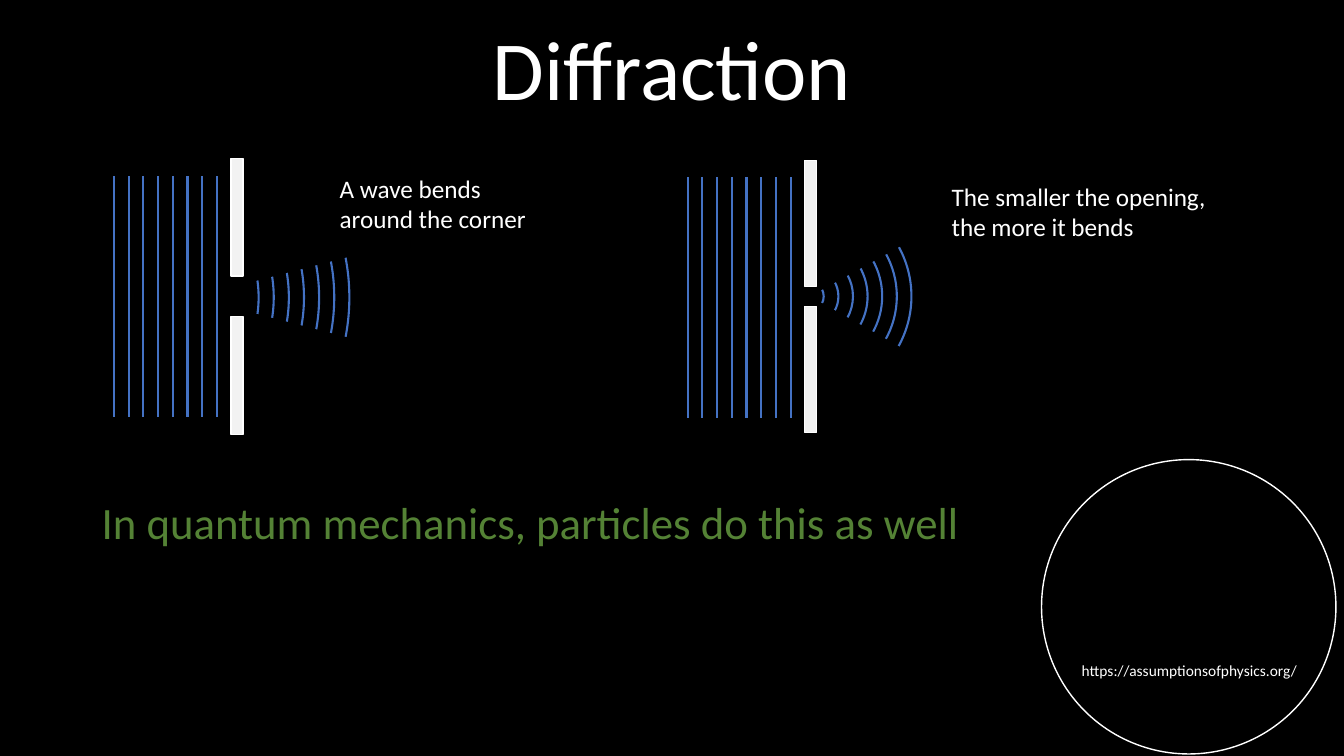
from lxml.etree import SubElement
from pptx import Presentation
from pptx.dml.color import RGBColor
from pptx.enum.shapes import MSO_CONNECTOR as CONN, MSO_SHAPE as SHAPE
from pptx.enum.text import MSO_AUTO_SIZE as AUTO, PP_ALIGN as ALIGN
from pptx.oxml.ns import qn
from pptx.util import Emu, Inches, Pt

W, H = 13.33, 7.5
FONT = "Calibri"
COLORS = {"black": "000000", "white": "FFFFFF", "wall": "F2F2F2",
          "wave": "4472C4", "green": "548235"}

# text, (left, top, width, height), size, color, alignment, wrap
TITLE = ("Diffraction", (0, 0.11, W, 1.11), 60, "white", ALIGN.CENTER, True)
TEXTS = [
    ("A wave bends around the corner", (3.27, 1.67, 2.22, 0.71), 18, "white", ALIGN.LEFT, True),
    ("The smaller the opening, the more it bends", (9.34, 1.75, 2.74, 0.71), 18, "white",
     ALIGN.LEFT, True),
    ("In quantum mechanics, particles do this as well", (0.91, 4.86, 8.8, 0.64), 32, "green",
     ALIGN.LEFT, False),
]
ADDRESS = ("https://assumptionsofphysics.org/", (10.63, 6.51, 2.35, 0.29), 11, "white",
           ALIGN.LEFT, False)
BADGE = (10.33, 4.56, 2.92, 2.92)

# mask: left, top, right, bottom of the cover; wedge: apex x, top and bottom of its open side
SLITS = [
    {"center": (1.39, 2.95), "smallest": 2.35, "step": 0.3, "mask": (-0.76, 0.7, 3.62, 5.13),
     "wedge": (1.88, 2.5, 3.4), "wall_x": 2.29, "wall_tops": (1.57, 3.14), "wall_h": 1.17,
     "front_x": 1.13, "front_y": 1.75},
    {"center": (8.02, 2.94), "smallest": 0.3, "step": 0.29, "mask": (6.83, 1.7, 9.14, 4.12),
     "wedge": (8.02, 2.32, 3.57), "wall_x": 7.98, "wall_tops": (1.59, 3.04), "wall_h": 1.25,
     "front_x": 6.82, "front_y": 1.76},
]
RINGS, FRONTS = 7, 8
WALL_W, FRONT_GAP, FRONT_H = 0.12, 0.146, 2.39


def rgb(name):
    return RGBColor.from_string(COLORS[name])


def style(sp, fill, line, width=1):
    sp.shadow.inherit = False
    if fill:
        sp.fill.solid()
        sp.fill.fore_color.rgb = rgb(fill)
    else:
        sp.fill.background()
    sp.line.color.rgb = rgb(line)
    sp.line.width = Pt(width)


def add_preset(shapes, kind, box, fill, line, width=1):
    style(shapes.add_shape(kind, *map(Inches, box)), fill, line, width)


def add_text(shapes, text, box, size, color, align, wrap):
    tf = shapes.add_textbox(*map(Inches, box)).text_frame
    tf.word_wrap = wrap
    tf.auto_size = AUTO.SHAPE_TO_FIT_TEXT
    tf.text = text
    p = tf.paragraphs[0]
    p.alignment = align
    font = p.runs[0].font
    font.name, font.size, font.color.rgb = FONT, Pt(size), rgb(color)


def add_front(shapes, x, y):
    ends = map(Inches, (x, y, x, y + FRONT_H))
    c = shapes.add_connector(CONN.STRAIGHT, *ends)
    c.line.color.rgb = rgb("wave")
    c.line.width = Pt(1.5)
    SubElement(c._element.spPr, qn("a:effectLst"))


def add_slit(shapes, slit):
    """Draw rings, cover all but a wedge of them, then add walls and wave fronts."""
    cx, cy = slit["center"]
    for i in range(RINGS):
        d = slit["smallest"] + i * slit["step"]
        add_preset(shapes, SHAPE.OVAL, (cx - d / 2, cy - d / 2, d, d), None, "wave", 1.5)

    left, top, right, bottom = slit["mask"]
    apex, open_top, open_bottom = slit["wedge"]
    outline = [(left, top), (right, top), (right, open_top), (apex, cy),
               (right, open_bottom), (right, bottom), (left, bottom)]
    points = [(Inches(x), Inches(y)) for x, y in outline]
    builder = shapes.build_freeform(*points[0], scale=1.0)
    builder.add_line_segments(points[1:], close=True)
    style(builder.convert_to_shape(Emu(0), Emu(0)), "black", "black")

    for wall_top in slit["wall_tops"]:
        add_preset(shapes, SHAPE.RECTANGLE, (slit["wall_x"], wall_top, WALL_W, slit["wall_h"]),
                   "wall", "white")
    for i in range(FRONTS):
        add_front(shapes, slit["front_x"] + i * FRONT_GAP, slit["front_y"])


def main():
    prs = Presentation()
    prs.slide_width, prs.slide_height = Inches(W), Inches(H)
    s = prs.slides.add_slide(prs.slide_layouts[6])
    s.background.fill.solid()
    s.background.fill.fore_color.rgb = rgb("black")

    add_preset(s.shapes, SHAPE.OVAL, BADGE, None, "white")
    add_text(s.shapes, *ADDRESS)
    add_text(s.shapes, *TITLE)
    for slit in SLITS:
        add_slit(s.shapes.add_group_shape().shapes, slit)
    for text in TEXTS:
        add_text(s.shapes, *text)
    prs.save("out.pptx")


if __name__ == "__main__":
    main()
